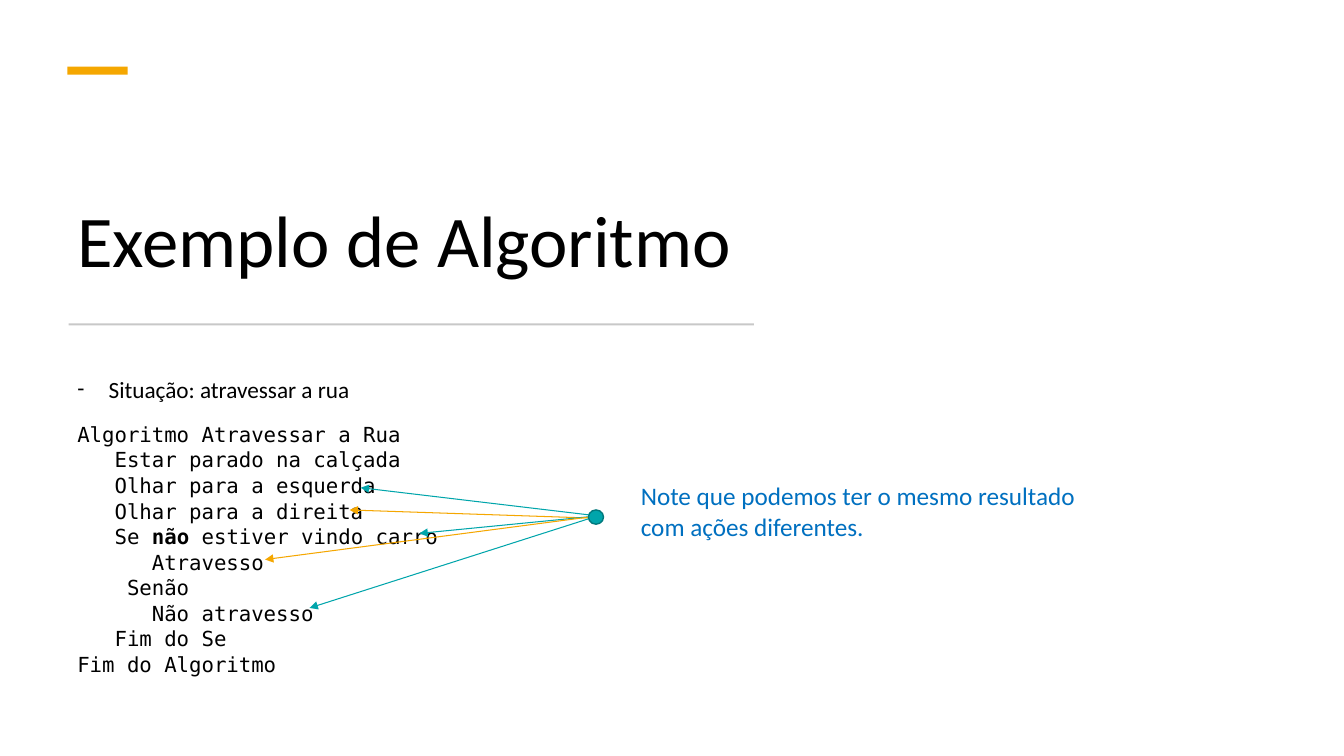
from lxml import etree
from pptx import Presentation
from pptx.dml.color import RGBColor
from pptx.enum.shapes import MSO_CONNECTOR, MSO_SHAPE
from pptx.enum.text import MSO_ANCHOR, PP_ALIGN
from pptx.oxml.ns import qn
from pptx.util import Cm, Pt

RECT, OVAL = MSO_SHAPE.RECTANGLE, MSO_SHAPE.OVAL
LINE = MSO_CONNECTOR.STRAIGHT
TOP, BOTTOM = MSO_ANCHOR.TOP, MSO_ANCHOR.BOTTOM
JUSTIFY = PP_ALIGN.JUSTIFY

BLACK = RGBColor(0x00, 0x00, 0x00)
GRAY = RGBColor(0xC8, 0xC8, 0xC8)
ORANGE = RGBColor(0xF5, 0xA7, 0x00)
TEAL = RGBColor(0x00, 0xA5, 0xAB)
DARK = RGBColor(0x00, 0x78, 0x7C)
BLUE = RGBColor(0x00, 0x70, 0xC0)

SANS, MONO = "Calibri", "DejaVu Sans Mono"

# Each line is a list of pieces; every second piece is bold
CODE = [
    ["Algoritmo Atravessar a Rua"],
    ["   Estar parado na calçada"],
    ["   Olhar para a esquerda"],
    ["   Olhar para a direita"],
    ["   Se ", "não", " estiver vindo carro"],
    ["      Atravesso"],
    ["    Senão"],
    ["      Não atravesso"],
    ["   Fim do Se"],
    ["Fim do Algoritmo"],
]

# Start height, end point and colour of each arrow, in cm
START = 15.06
ARROWS = [
    (13.0, 9.09, 12.29, TEAL),
    (13.06, 8.81, 12.85, ORANGE),
    (13.0, 10.57, 13.44, TEAL),
    (13.0, 7.8, 15.32, TEAL),
    (13.0, 6.68, 14.1, ORANGE),
]


def add_box(slide, x, y, w, h, anchor=TOP):
    box = slide.shapes.add_textbox(Cm(x), Cm(y), Cm(w), Cm(h))
    frame = box.text_frame
    frame.word_wrap = True
    frame.vertical_anchor = anchor
    return frame


def set_font(para, name, size, color):
    font = para.font
    font.name, font.size = name, Pt(size)
    font.color.rgb = color


def add_dash(para):
    props = para._p.get_or_add_pPr()
    props.set("marL", str(Cm(0.79)))
    props.set("indent", str(-Cm(0.79)))
    tint = etree.SubElement(props, qn("a:buClr"))
    etree.SubElement(tint, qn("a:srgbClr")).set("val", str(BLACK))
    etree.SubElement(props, qn("a:buFont")).set("typeface", SANS)
    etree.SubElement(props, qn("a:buChar")).set("char", "-")


def add_code(frame):
    for row, parts in enumerate(CODE):
        para = frame.add_paragraph()
        para.alignment = JUSTIFY
        para.line_spacing = 1.03
        if row == 0:
            para.space_before = Pt(13)
        for i, part in enumerate(parts):
            run = para.add_run()
            run.text = part
            if i % 2:
                run.font.bold = True
        set_font(para, MONO, 14.8, BLACK)


def add_form(slide, kind, x, y, w, h, fill, edge=None):
    form = slide.shapes.add_shape(kind, Cm(x), Cm(y), Cm(w), Cm(h))
    form.shadow.inherit = False
    form.fill.solid()
    form.fill.fore_color.rgb = fill
    if edge is None:
        form.line.fill.background()
    else:
        form.line.color.rgb = edge
        form.line.width = Pt(1)


def add_arrow(slide, y, to_x, to_y, color):
    arrow = slide.shapes.add_connector(
        LINE, Cm(START), Cm(y), Cm(to_x), Cm(to_y))
    arrow.line.color.rgb = color
    arrow.line.width = Pt(0.75)
    etree.SubElement(arrow.line._ln, qn("a:tailEnd")).set("type", "triangle")
    etree.SubElement(arrow._element.spPr, qn("a:effectLst"))


def main():
    deck = Presentation()
    deck.slide_width, deck.slide_height = Cm(33.87), Cm(19.05)
    slide = deck.slides.add_slide(deck.slide_layouts[6])

    # Accent bar and rule
    add_form(slide, RECT, 1.7, 1.68, 1.52, 0.2, ORANGE)
    add_form(slide, RECT, 1.73, 8.15, 17.27, 0.05, GRAY)

    # Title
    title = add_box(slide, 1.7, 3, 19.71, 4.27, BOTTOM).paragraphs[0]
    title.text = "Exemplo de Algoritmo"
    title.line_spacing = 0.9
    set_font(title, SANS, 52, BLACK)

    # Situation and algorithm
    body = add_box(slide, 1.7, 9.32, 30.33, 7.85)
    intro = body.paragraphs[0]
    intro.text = "Situação: atravessar a rua"
    intro.alignment = JUSTIFY
    add_dash(intro)
    set_font(intro, SANS, 16.6, BLACK)
    add_code(body)

    # Remark
    note = add_box(slide, 15.9, 11.99, 12.37, 1.8).paragraphs[0]
    note.text = "Note que podemos ter o mesmo resultado com ações diferentes."
    set_font(note, SANS, 18, BLUE)

    # Arrows from the dot to the code lines
    for arrow in ARROWS:
        add_arrow(slide, *arrow)
    add_form(slide, OVAL, 14.83, 12.85, 0.38, 0.36, TEAL, DARK)

    deck.save("out.pptx")


if __name__ == "__main__":
    main()
